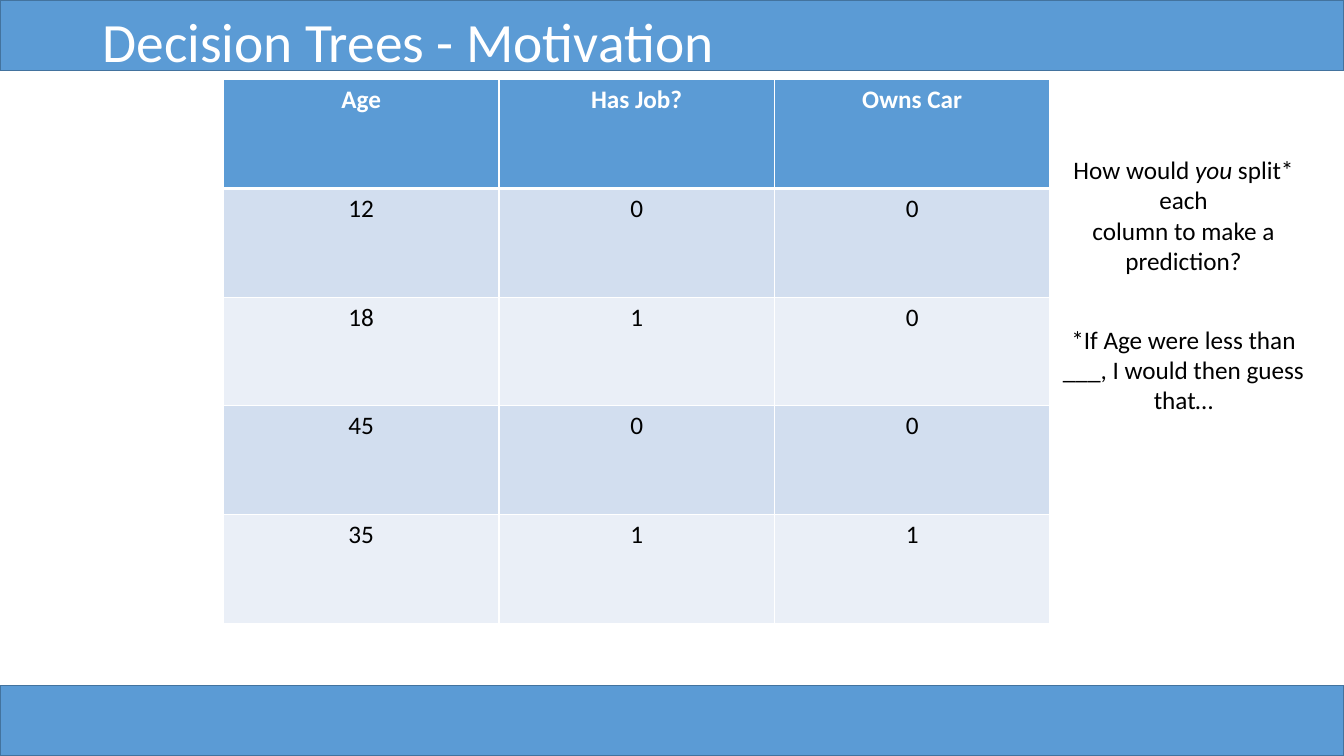
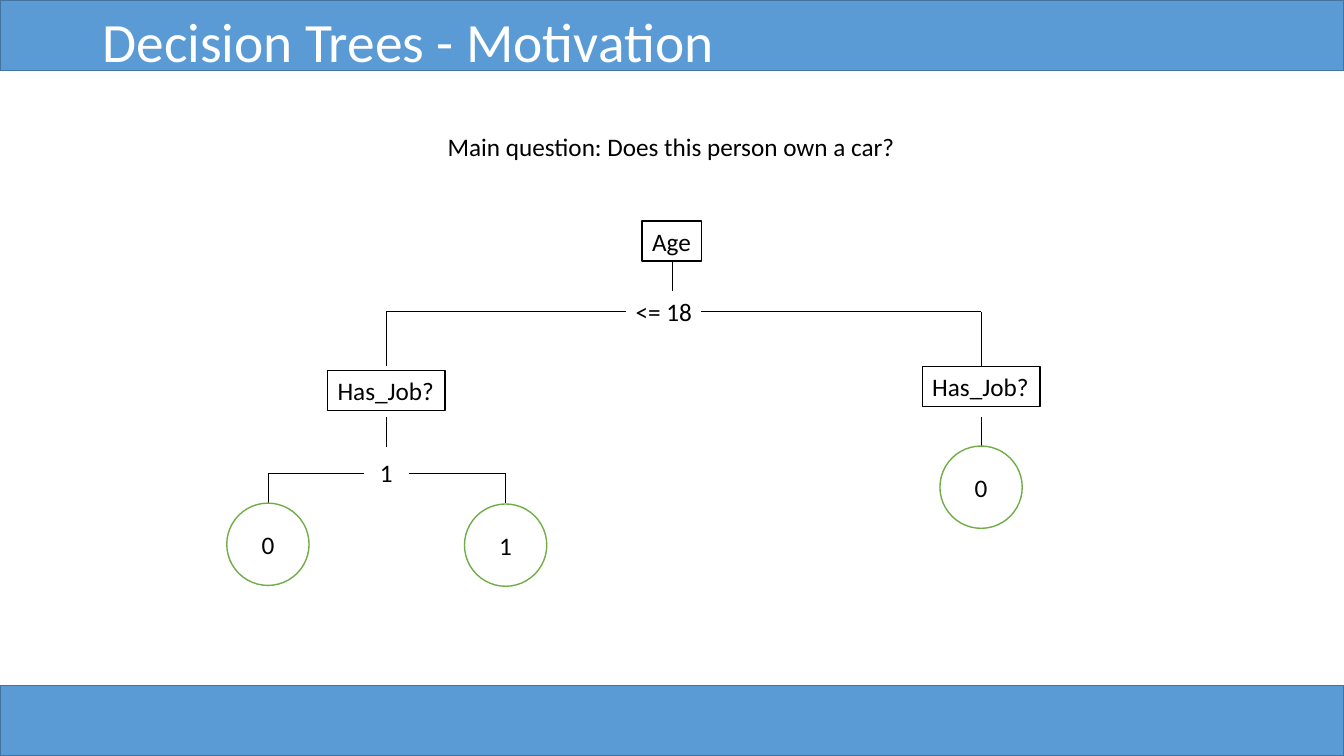
from lxml.etree import SubElement
from pptx import Presentation
from pptx.dml.color import RGBColor
from pptx.enum.shapes import MSO_CONNECTOR, MSO_SHAPE
from pptx.enum.text import MSO_ANCHOR, MSO_AUTO_SIZE, PP_ALIGN
from pptx.oxml.ns import qn
from pptx.util import Pt

# Grid of 160 columns and 90 rows, twelve cells to the inch
CELL = 76200
COLS, ROWS = 160, 90
BAND = 8.4
LINE = 4.8

BLUE = RGBColor(0x5B, 0x9B, 0xD5)
EDGE = RGBColor(0x43, 0x73, 0x9E)
PALE = RGBColor(0xD2, 0xDE, 0xEF)
LIGHT = RGBColor(0xEA, 0xEF, 0xF7)
GREEN = RGBColor(0x70, 0xAD, 0x47)
WHITE = RGBColor(0xFF, 0xFF, 0xFF)
BLACK = RGBColor(0, 0, 0)

BODY = {"name": "Calibri", "size": Pt(18), "bold": False}
HEAD = {**BODY, "bold": True}
TITLE = {**BODY, "size": Pt(39.6)}
FIT = {"word_wrap": True, "auto_size": MSO_AUTO_SIZE.SHAPE_TO_FIT_TEXT}
SNUG = {**FIT, "word_wrap": False}
MID = {"word_wrap": False, "vertical_anchor": MSO_ANCHOR.MIDDLE}
BAR = {"word_wrap": True, "auto_size": MSO_AUTO_SIZE.NONE,
       "vertical_anchor": MSO_ANCHOR.MIDDLE}


def style(item, form):
    for name, value in form.items():
        setattr(item, name, value)


def emu(*cells):
    return [round(n * CELL) for n in cells]


def write(frame, text, font=BODY, color=BLACK, align=PP_ALIGN.CENTER, form=None):
    """Text between underscore-free bars (|) is set in italics."""
    style(frame, form or {})
    for n, words in enumerate(text.split("\n")):
        para = frame.add_paragraph() if n else frame.paragraphs[0]
        para.alignment = align
        for k, part in enumerate(words.split("|")):
            run = para.add_run()
            run.text = part
            style(run.font, {**font, "italic": k % 2 == 1})
            run.font.color.rgb = color


def label(slide, box, text, align=PP_ALIGN.CENTER):
    frame = slide.shapes.add_textbox(*emu(*box)).text_frame
    write(frame, text, align=align, form=FIT)


def shape(slide, kind, box, edge, fill=None):
    item = slide.shapes.add_shape(kind, *emu(*box))
    item.shadow.inherit = False
    if fill is None:
        item.fill.background()
    else:
        item.fill.solid()
        item.fill.fore_color.rgb = fill
    item.line.color.rgb = edge
    item.line.width = Pt(1)
    return item


def line(slide, *ends):
    item = slide.shapes.add_connector(MSO_CONNECTOR.STRAIGHT, *emu(*ends))
    item.line.color.rgb = BLACK
    item.line.width = Pt(0.5)
    SubElement(item._element.spPr, qn("a:effectLst"))


# Shared frame: two bands and the title
def start(deck, text):
    slide = deck.slides.add_slide(deck.slide_layouts[5])
    title = slide.shapes.title
    for top in (ROWS - BAND, 0):
        shape(slide, MSO_SHAPE.RECTANGLE, (0, top, COLS, BAND), EDGE, BLUE)
    slide.shapes._spTree.append(title._element)
    spot = emu(11, 2, 138, 6.5)
    style(title, dict(zip(("left", "top", "width", "height"), spot)))
    write(title.text_frame, text, TITLE, WHITE, PP_ALIGN.LEFT, BAR)
    title.text_frame.paragraphs[0].line_spacing = 0.9
    return slide


# Table of people
def border(cell, sides):
    props = cell._tc.get_or_add_tcPr()
    for side, width in sides.items():
        edge = SubElement(props, qn("a:ln" + side), w=str(Pt(width)))
        fill = SubElement(edge, qn("a:solidFill"))
        SubElement(fill, qn("a:srgbClr"), val=str(WHITE))


def grid(slide, box, rows):
    table = slide.shapes.add_table(len(rows), len(rows[0]), *emu(*box)).table
    for r, row in enumerate(rows):
        table.rows[r].height = emu(box[3] / len(rows))[0]
        font, color = (BODY, BLACK) if r else (HEAD, WHITE)
        for c, text in enumerate(row):
            cell = table.cell(r, c)
            border(cell, {"L": 1, "R": 1, "T": 3 if r == 1 else 1,
                          "B": 1 if r else 3})
            cell.fill.solid()
            cell.fill.fore_color.rgb = (LIGHT, PALE)[r % 2] if r else BLUE
            write(cell.text_frame, text, font, color)


# Decision tree, with parts offset from the corner of its box
def node(slide, mid, top, width, text):
    box = (mid - width / 2, top, width, LINE)
    item = shape(slide, MSO_SHAPE.RECTANGLE, box, BLACK, WHITE)
    write(item.text_frame, text, align=PP_ALIGN.LEFT, form=SNUG)


def leaf(slide, mid, top, text, size=9.8):
    box = (mid - size / 2, top, size, size)
    item = shape(slide, MSO_SHAPE.OVAL, box, GREEN)
    write(item.text_frame, text, form=MID)


def fork(slide, top, gap, ends, drop):
    for inner, end in zip(gap, ends):
        line(slide, inner, top, end, top)
        line(slide, end, top, end, top + drop)


def tree(slide, box):
    x, y = box
    left, mid, right = x + 19, x + 53, x + 89.8
    low, high = x + 4.9, x + 33.2
    # Root and its split
    node(slide, mid, y, 7.1, "Age")
    line(slide, mid, y + LINE, mid, y + 8.4)
    label(slide, (x + 47.5, y + 8.4, 14.9, LINE), "<= 18", PP_ALIGN.LEFT)
    fork(slide, y + 10.8, (x + 47.5, x + 56.5), (left, right), 6.5)
    # Second level
    for stem, top in ((left, 17.8), (right, 17.3)):
        node(slide, stem, y + top, 14, "Has_Job?")
        line(slide, stem, y + 23.3, stem, y + 26.9)
    label(slide, (left - 2.65, y + 27.6, 5.3, LINE), "1")
    fork(slide, y + 30, (left - 2.7, left + 2.7), (low, high), 3.6)
    # Answers
    for spot, top, text in ((low, 33.6, "0"), (high, 33.7, "1"), (right, 26.8, "0")):
        leaf(slide, spot, y + top, text)


deck = Presentation()
deck.slide_width, deck.slide_height = emu(COLS, ROWS)
NAME = "Decision Trees - Motivation"

# Slide 1: data and questions
slide = start(deck, NAME)
grid(slide, (26.6, 9.5, 98.4, 64.7), [
    ("Age", "Has Job?", "Owns Car"),
    ("12", "0", "0"),
    ("18", "1", "0"),
    ("45", "0", "0"),
    ("35", "1", "1"),
])
label(slide, (125.2, 17.8, 31.4, 15.7),
      "How would |you| split* each\ncolumn to make a prediction?")
label(slide, (125.2, 38, 31.4, 12.1),
      "*If Age were less than ___, I would then guess that…")

# Slide 2: tree
slide = start(deck, NAME)
tree(slide, (27, 26.3))
label(slide, (44.5, 15, 70.8, LINE), "Main question: Does this person own a car?")

deck.save("out.pptx")
